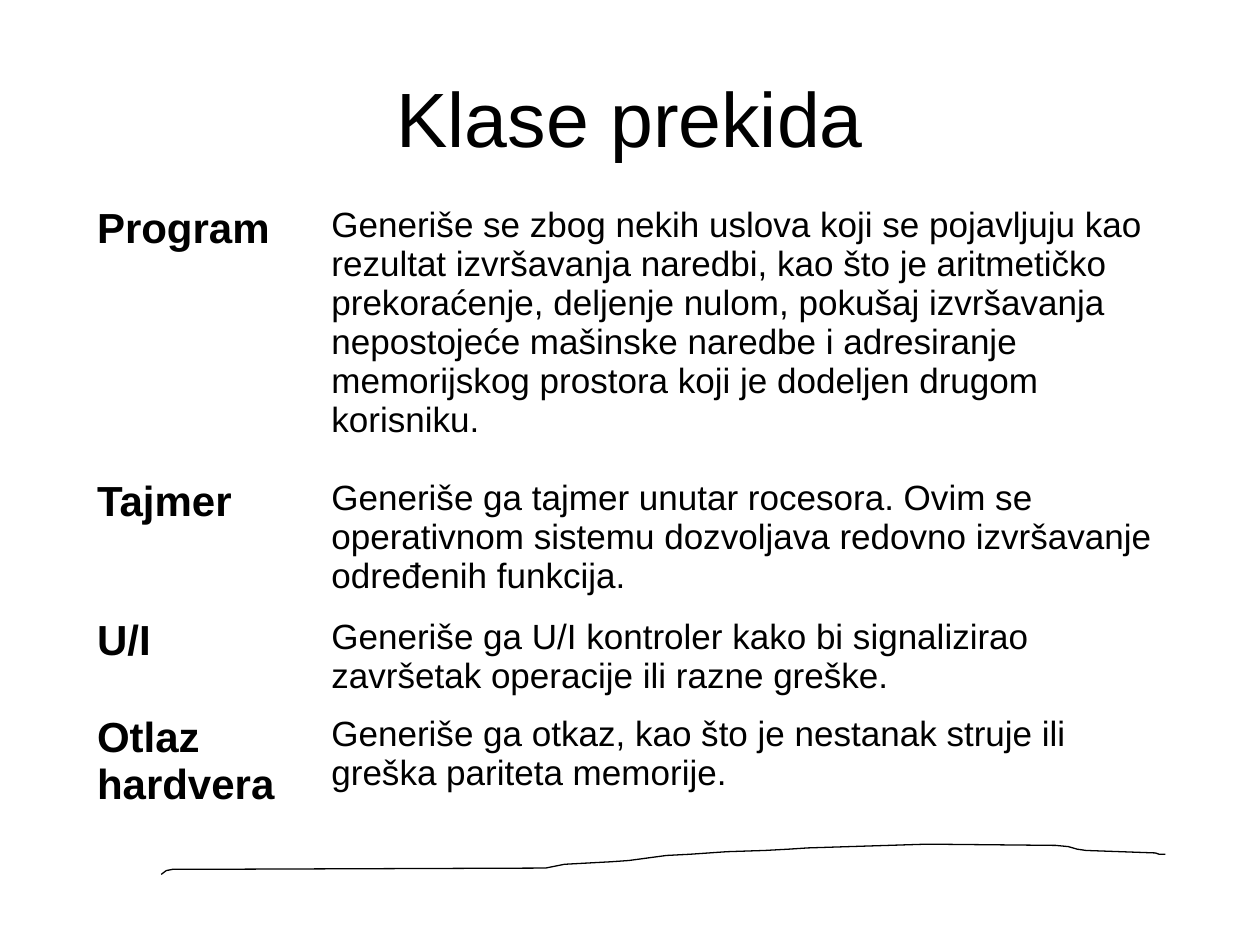
from lxml import etree
from pptx import Presentation
from pptx import util as u
from pptx.dml.color import RGBColor
from pptx.enum import text
from pptx.oxml.ns import qn

theme = {
    "font": "Arial",
    "ink": RGBColor(0, 0, 0),
    "rule": "FFFFFF",
    "title": 44,
    "label": 24,
    "body": 20,
}

title = "Klase prekida"
rows = [
    ("Program", "Generiše se zbog nekih uslova koji se pojavljuju kao rezultat izvršavanja naredbi, "
     "kao što je aritmetičko prekoraćenje, deljenje nulom, pokušaj izvršavanja nepostojeće mašinske "
     "naredbe i adresiranje memorijskog prostora koji je dodeljen drugom korisniku."),
    ("Tajmer", "Generiše ga tajmer unutar rocesora. Ovim se operativnom sistemu dozvoljava redovno "
     "izvršavanje određenih funkcija."),
    ("U/I", "Generiše ga U/I kontroler kako bi signalizirao završetak operacije ili razne greške."),
    ("Otlaz hardvera", "Generiše ga otkaz, kao što je nestanak struje ili greška pariteta memorije."),
]
widths = [1.86, 6.89]
heights = [2.17, 1.1, 0.77, 0.9]
stroke = [
    (1.28, 6.94), (1.32, 6.91), (1.37, 6.9), (1.49, 6.9), (4.33, 6.89), (4.48, 6.86),
    (4.85, 6.84), (4.99, 6.83), (5.29, 6.79), (5.48, 6.78), (5.77, 6.76), (6.07, 6.75),
    (6.26, 6.74), (6.41, 6.73), (7.36, 6.7), (8.38, 6.71), (8.48, 6.72), (8.55, 6.74),
    (8.62, 6.75), (9.17, 6.77), (9.2, 6.78), (9.25, 6.78),
]


def style(frame, size, bold=False):
    for run in frame.paragraphs[0].runs:
        font = run.font
        font.name, font.size, font.bold = theme["font"], u.Pt(size), bold
        font.color.rgb = theme["ink"]


def border(cell, side, width):
    line = etree.SubElement(cell._tc.get_or_add_tcPr(), qn(f"a:ln{side}"), w=str(u.Pt(width)))
    fill = etree.SubElement(line, qn("a:solidFill"))
    etree.SubElement(fill, qn("a:srgbClr"), val=theme["rule"])


def draw_stroke(slide):
    points = [(u.Inches(x), u.Inches(y)) for x, y in stroke]
    pen = slide.shapes.build_freeform(*points[0])
    pen.add_line_segments(points[1:], close=False)
    shape = pen.convert_to_shape()
    shape.shadow.inherit = False
    shape.fill.background()
    shape.line.color.rgb = theme["ink"]
    shape.line.width = u.Pt(0.75)


def draw_title(slide):
    box = slide.shapes.add_textbox(u.Inches(0.5), u.Inches(0.3), u.Inches(9), u.Inches(1.25))
    frame = box.text_frame
    frame.word_wrap = True
    frame.vertical_anchor = text.MSO_ANCHOR.MIDDLE
    frame.text = title
    frame.paragraphs[0].alignment = text.PP_ALIGN.CENTER
    style(frame, theme["title"])


def draw_table(slide):
    table = slide.shapes.add_table(
        len(rows), len(widths), u.Inches(0.67), u.Inches(1.58),
        u.Inches(sum(widths)), u.Inches(sum(heights))).table
    table.first_row = table.horz_banding = False
    for col, width in zip(table.columns, widths):
        col.width = u.Inches(width)
    for i, (row, height) in enumerate(zip(rows, heights)):
        table.rows[i].height = u.Inches(height)
        for j, words in enumerate(row):
            cell = table.cell(i, j)
            cell.text_frame.text = words
            style(cell.text_frame, theme["body" if j else "label"], bold=j == 0)
            for side in "LRTB":
                thick = (i, side) in ((0, "B"), (1, "T"))
                border(cell, side, 3 if thick else 1)
            cell.fill.background()


def main():
    deck = Presentation()
    deck.slide_width, deck.slide_height = u.Inches(10), u.Inches(7.5)
    slide = deck.slides.add_slide(deck.slide_layouts[6])
    draw_stroke(slide)
    draw_title(slide)
    draw_table(slide)
    deck.save("out.pptx")


if __name__ == "__main__":
    main()
